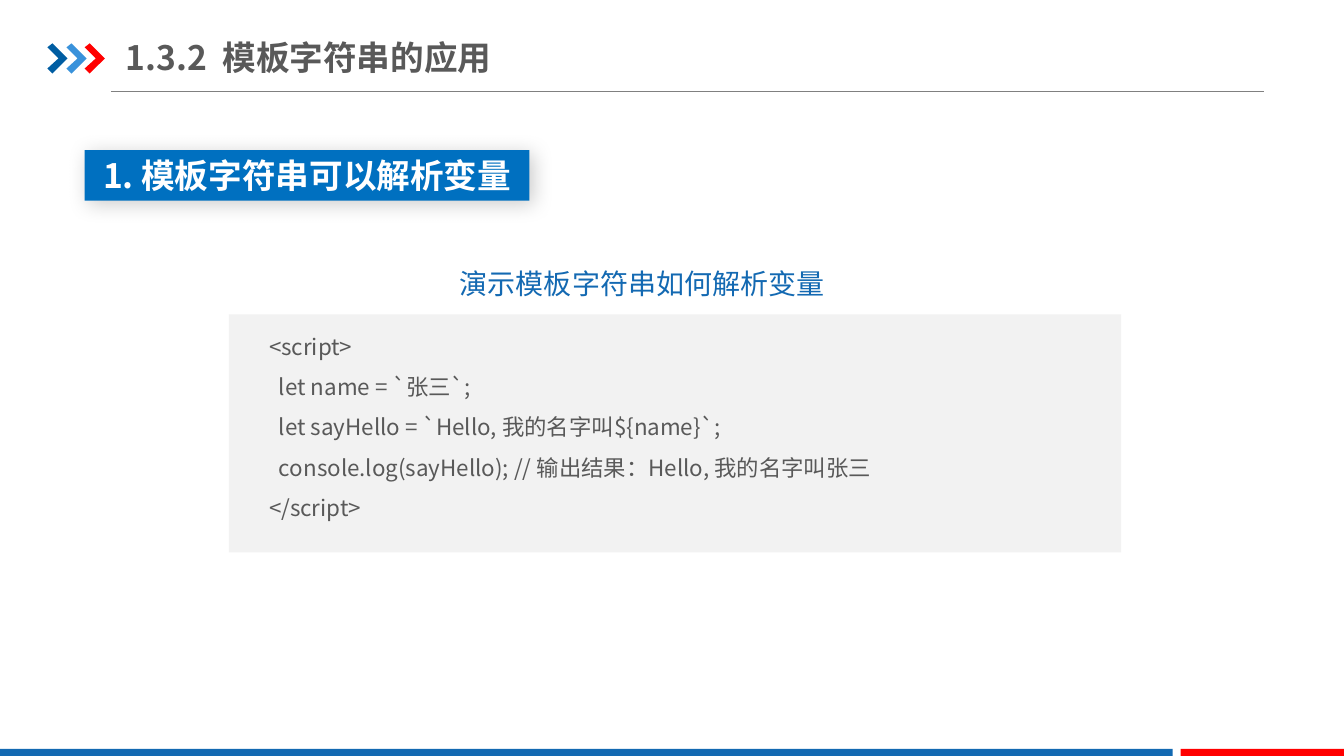
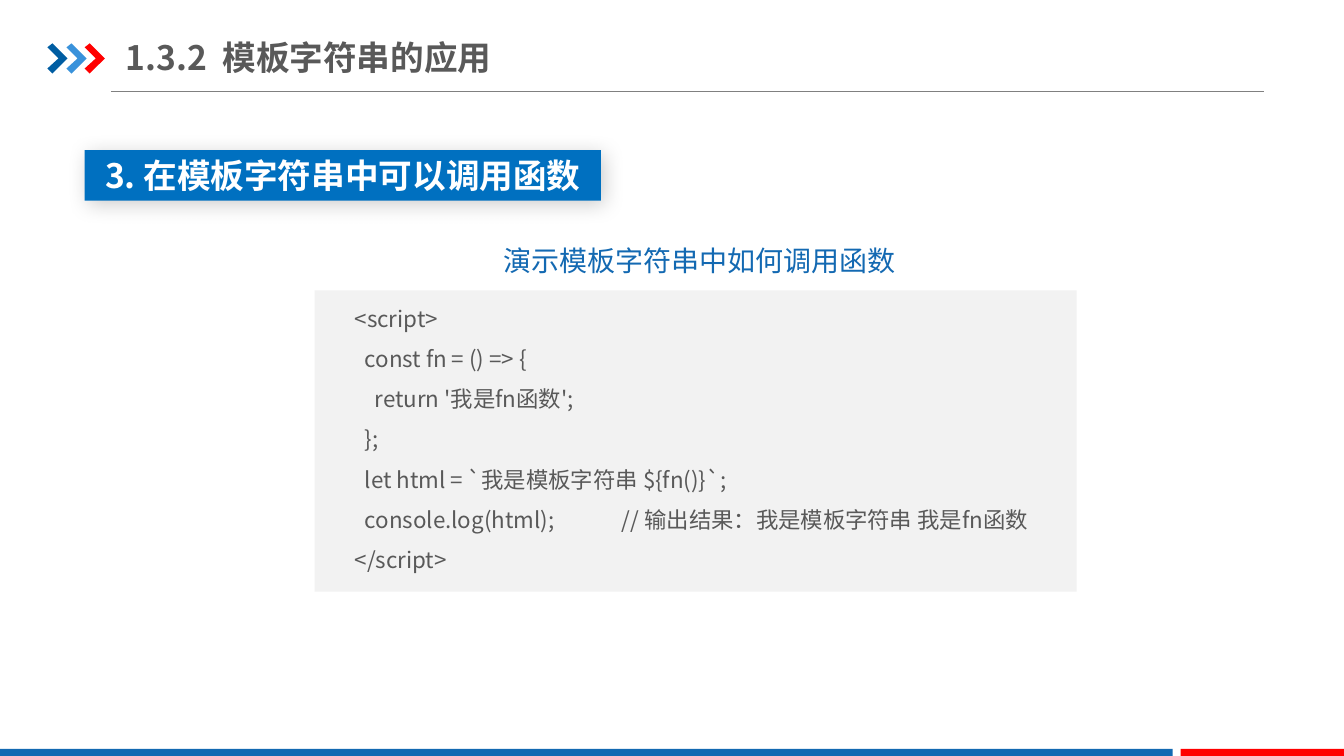
from lxml.etree import SubElement
from pptx import Presentation
from pptx.dml.color import RGBColor
from pptx.enum.shapes import MSO_CONNECTOR as Connector, MSO_SHAPE as Shape
from pptx.enum.text import MSO_ANCHOR as Anchor, PP_ALIGN as Align
from pptx.oxml.ns import qn
from pptx.util import Inches, Pt

FONT = "Noto Sans CJK SC"
WHITE = RGBColor(0xFF, 0xFF, 0xFF)
TEXT = RGBColor(0x59, 0x59, 0x59)
RULE = RGBColor(0x80, 0x80, 0x80)
PANEL = RGBColor(0xF2, 0xF2, 0xF2)
BLUE = RGBColor(0x13, 0x69, 0xB2)
TAG_BLUE = RGBColor(0x00, 0x70, 0xC0)
DARK_BLUE = RGBColor(0x00, 0x5D, 0xA2)
LIGHT_BLUE = RGBColor(0x39, 0x92, 0xDB)
RED = RGBColor(0xFF, 0x00, 0x00)

CHEVRON = [(0, 0.04), (0.05, 0), (0.2, 0.15), (0.05, 0.3), (0, 0.25), (0.11, 0.15)]
COMMENT_TAB = 2.65


class Deck:
    def __init__(self):
        self.prs = Presentation()
        self.prs.slide_width = Inches(13.33)
        self.prs.slide_height = Inches(7.5)
        self.s = None

    def new_slide(self, title):
        """Start a slide with the shared header and footer."""
        self.s = self.prs.slides.add_slide(self.prs.slide_layouts[6])
        self.rule(1.1, 0.91, 12.54)
        self.chevrons()
        self.rect(0, 7.43, 11.63, 0.07, BLUE)
        self.rect(11.71, 7.43, 1.62, 0.07, RED)
        self.text(1.25, 0.29, 4.26, 0.55, [title], 24, TEXT, bold=True,
                  wrap=False, anchor=Anchor.MIDDLE, margins=(0, 0.07))

    def rule(self, left, y, right):
        line = self.s.shapes.add_connector(
            Connector.STRAIGHT, Inches(left), Inches(y), Inches(right), Inches(y))
        line.line.color.rgb = RULE
        line.line.width = Pt(0.75)
        SubElement(line._element.spPr, qn("a:effectLst"))

    def chevrons(self):
        group = self.s.shapes.add_group_shape()
        for left, color in zip((0.47, 0.66, 0.84), (DARK_BLUE, LIGHT_BLUE, RED)):
            points = [(Inches(left + x), Inches(0.43 + y)) for x, y in CHEVRON]
            builder = group.shapes.build_freeform(*points[0])
            builder.add_line_segments(points[1:], close=True)
            self.paint(builder.convert_to_shape(), color)

    def paint(self, sp, color):
        sp.shadow.inherit = False
        sp.fill.solid()
        sp.fill.fore_color.rgb = color
        sp.line.fill.background()

    def rect(self, x, y, w, h, color):
        sp = self.s.shapes.add_shape(
            Shape.RECTANGLE, Inches(x), Inches(y), Inches(w), Inches(h))
        self.paint(sp, color)
        return sp

    def text(self, x, y, w, h, lines, size, color, **style):
        box = self.s.shapes.add_textbox(Inches(x), Inches(y), Inches(w), Inches(h))
        self.fill_text(box.text_frame, lines, size, color, **style)

    def fill_text(self, tf, lines, size, color, bold=False, align=Align.LEFT,
                  spacing=1.0, wrap=True, anchor=Anchor.TOP, margins=(0.1, 0.05)):
        tf.word_wrap = wrap
        tf.vertical_anchor = anchor
        tf.margin_left = tf.margin_right = Inches(margins[0])
        tf.margin_top = tf.margin_bottom = Inches(margins[1])
        for i, line in enumerate(lines):
            p = tf.add_paragraph() if i else tf.paragraphs[0]
            p.alignment = align
            p.line_spacing = spacing
            if "\t" in line:
                self.tab_stop(p, COMMENT_TAB)
            r = p.add_run()
            r.text = line
            r.font.size = Pt(size)
            r.font.bold = bold
            r.font.color.rgb = color
            r.font.name = FONT
            SubElement(r.font._element, qn("a:ea"), typeface=FONT)

    def tab_stop(self, p, position):
        tabs = SubElement(p._p.get_or_add_pPr(), qn("a:tabLst"))
        SubElement(tabs, qn("a:tab"), pos=str(Inches(position)), algn="l")

    def tag(self, w, label):
        """Section heading on a blue box with a soft shadow."""
        sp = self.rect(0.84, 1.49, w, 0.5, TAG_BLUE)
        effects = sp._element.spPr.find(qn("a:effectLst"))
        shadow = SubElement(effects, qn("a:outerShdw"), blurRad=str(Pt(15)),
                            dist=str(Pt(3)), dir=str(45 * 60000),
                            algn="tl", rotWithShape="0")
        black = SubElement(shadow, qn("a:srgbClr"), val="000000")
        SubElement(black, qn("a:alpha"), val="20000")
        self.fill_text(sp.text_frame, [label], 24, WHITE, bold=True,
                       align=Align.CENTER, wrap=False, anchor=Anchor.MIDDLE)

    def caption(self, x, y, label):
        self.text(x, y, 5.28, 0.58, [label], 20, BLUE, align=Align.CENTER,
                  spacing=1.5, margins=(0.13, 0.07))

    def code(self, x, y, w, h, lines, text_top, text_height):
        self.rect(x, y, w, h, PANEL)
        self.text(x + 0.3, text_top, 7.8, text_height, lines, 16, TEXT, spacing=1.5)


def main():
    title = "1.3.2  模板字符串的应用"
    deck = Deck()

    deck.new_slide(title)
    deck.code(2.27, 3.12, 8.85, 2.36, [
        "<script>",
        "  let name = `张三`;",
        "  let sayHello = `Hello, 我的名字叫${name}`;",
        "  console.log(sayHello); // 输出结果：Hello, 我的名字叫张三",
        "</script>",
    ], 3.12, 2.07)
    deck.caption(3.73, 2.41, "演示模板字符串如何解析变量")
    deck.tag(4.41, "1. 模板字符串可以解析变量")

    deck.new_slide(title)
    deck.code(3.12, 2.88, 7.56, 2.99, [
        "<script>",
        "  const fn = () => {",
        "    return '我是fn函数';",
        "  };",
        "  let html = `我是模板字符串 ${fn()}`;",
        "  console.log(html);\t// 输出结果：我是模板字符串 我是fn函数",
        "</script>",
    ], 2.84, 2.88)
    deck.caption(4.3, 2.18, "演示模板字符串中如何调用函数")
    deck.tag(5.12, "3. 在模板字符串中可以调用函数")

    deck.prs.save("out.pptx")


if __name__ == "__main__":
    main()
